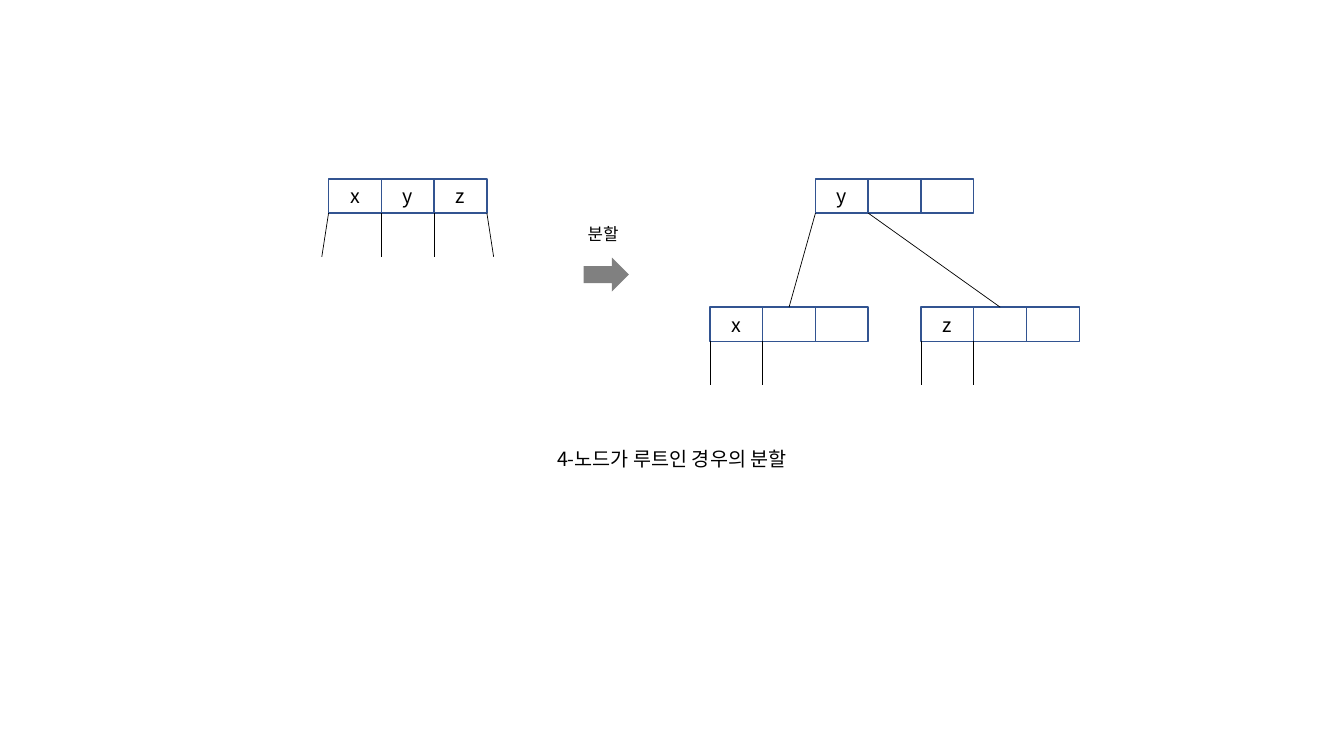
from dataclasses import dataclass

from lxml import etree
from pptx import Presentation
from pptx import util as u
from pptx.dml.color import RGBColor
from pptx.enum import shapes, text
from pptx.oxml import ns


@dataclass(frozen=True)
class Theme:
    font: str = "Noto Sans CJK KR"
    ink: str = "000000"
    border: str = "325491"
    arrow: str = "808080"
    body_size: int = 14
    label_size: int = 12
    border_width: float = 1
    line_width: float = 0.5


class TreeSlide:
    cell_width = 1.33
    cell_height = 0.86
    pointer_length = 1.1

    def __init__(self, slide, theme):
        self.slide = slide
        self.theme = theme

    def set_text(self, shape, words, size, anchor=text.MSO_ANCHOR.TOP):
        frame = shape.text_frame
        frame_format = {"word_wrap": True, "vertical_anchor": anchor,
                        "auto_size": text.MSO_AUTO_SIZE.NONE,
                        "margin_left": u.Cm(0.25), "margin_right": u.Cm(0.25),
                        "margin_top": u.Cm(0.13), "margin_bottom": u.Cm(0.13)}
        for name, value in frame_format.items():
            setattr(frame, name, value)
        paragraph = frame.paragraphs[0]
        paragraph.alignment = text.PP_ALIGN.CENTER
        run = paragraph.add_run()
        run.text = words
        font_format = {"name": self.theme.font, "size": u.Pt(size), "bold": False}
        for name, value in font_format.items():
            setattr(run.font, name, value)
        run.font.color.rgb = RGBColor.from_string(self.theme.ink)
        # Korean letters take the East Asian typeface
        east_asian = etree.SubElement(run.font._element, ns.qn("a:ea"))
        east_asian.set("typeface", self.theme.font)

    def caption(self, words, left, top, width, height):
        title = self.slide.shapes.title
        place = {"left": left, "top": top, "width": width, "height": height}
        for name, value in place.items():
            setattr(title, name, u.Cm(value))
        self.set_text(title, words, self.theme.body_size)

    def label(self, words, *place):
        box = self.slide.shapes.add_textbox(*map(u.Cm, place))
        self.set_text(box, words, self.theme.label_size)

    def preset(self, kind, *place):
        shape = self.slide.shapes.add_shape(kind, *map(u.Cm, place))
        shape.shadow.inherit = False
        return shape

    def arrow(self, *place):
        arrow = self.preset(shapes.MSO_SHAPE.RIGHT_ARROW, *place)
        arrow.fill.solid()
        arrow.fill.fore_color.rgb = RGBColor.from_string(self.theme.arrow)
        arrow.line.fill.background()

    def node(self, keys, left, top):
        """Draw a node of three key cells."""
        for index, key in enumerate(keys):
            cell = self.preset(shapes.MSO_SHAPE.RECTANGLE,
                               left + index * self.cell_width, top,
                               self.cell_width, self.cell_height)
            cell.fill.background()
            cell.line.color.rgb = RGBColor.from_string(self.theme.border)
            cell.line.width = u.Pt(self.theme.border_width)
            if key:
                self.set_text(cell, key, self.theme.body_size, text.MSO_ANCHOR.MIDDLE)

    def line(self, *ends):
        line = self.slide.shapes.add_connector(
            shapes.MSO_CONNECTOR.STRAIGHT, *map(u.Cm, ends))
        line.line.color.rgb = RGBColor.from_string(self.theme.ink)
        line.line.width = u.Pt(self.theme.line_width)
        etree.SubElement(line._element.spPr, ns.qn("a:effectLst"))

    def pointers(self, left, top, spreads):
        """Hang one pointer from each cell edge, shifted sideways by its spread."""
        bottom = top + self.cell_height
        for index, spread in enumerate(spreads):
            edge = left + index * self.cell_width
            self.line(edge, bottom, edge + spread, bottom + self.pointer_length)


def main():
    presentation = Presentation()
    presentation.slide_width, presentation.slide_height = u.Cm(33.87), u.Cm(19.05)
    slide = presentation.slides.add_slide(presentation.slide_layouts[5])
    tree = TreeSlide(slide, Theme())

    # Full root before the split
    root_top, child_top = 4.51, 7.74
    full_left = 8.28
    tree.node("xyz", full_left, root_top)
    tree.pointers(full_left, root_top, [-0.17, 0, 0, 0.17])

    # Split arrow
    tree.label("분할", 13.97, 5.51, 2.46, 0.78)
    tree.arrow(14.71, 6.49, 1.14, 0.86)

    # New root with two children, each child two cells from the root
    root_left = 20.55
    tree.node(["y", "", ""], root_left, root_top)
    for index, key in enumerate("xz"):
        child_left = root_left + (4 * index - 2) * tree.cell_width
        tree.node([key, "", ""], child_left, child_top)
        tree.pointers(child_left, child_top, [0, 0])
        tree.line(root_left + index * tree.cell_width, root_top + tree.cell_height,
                  child_left + 1.5 * tree.cell_width, child_top)

    # Caption
    tree.caption("4-노드가 루트인 경우의 분할", 7.32, 11.13, 19.23, 0.86)

    presentation.save("out.pptx")


if __name__ == "__main__":
    main()
